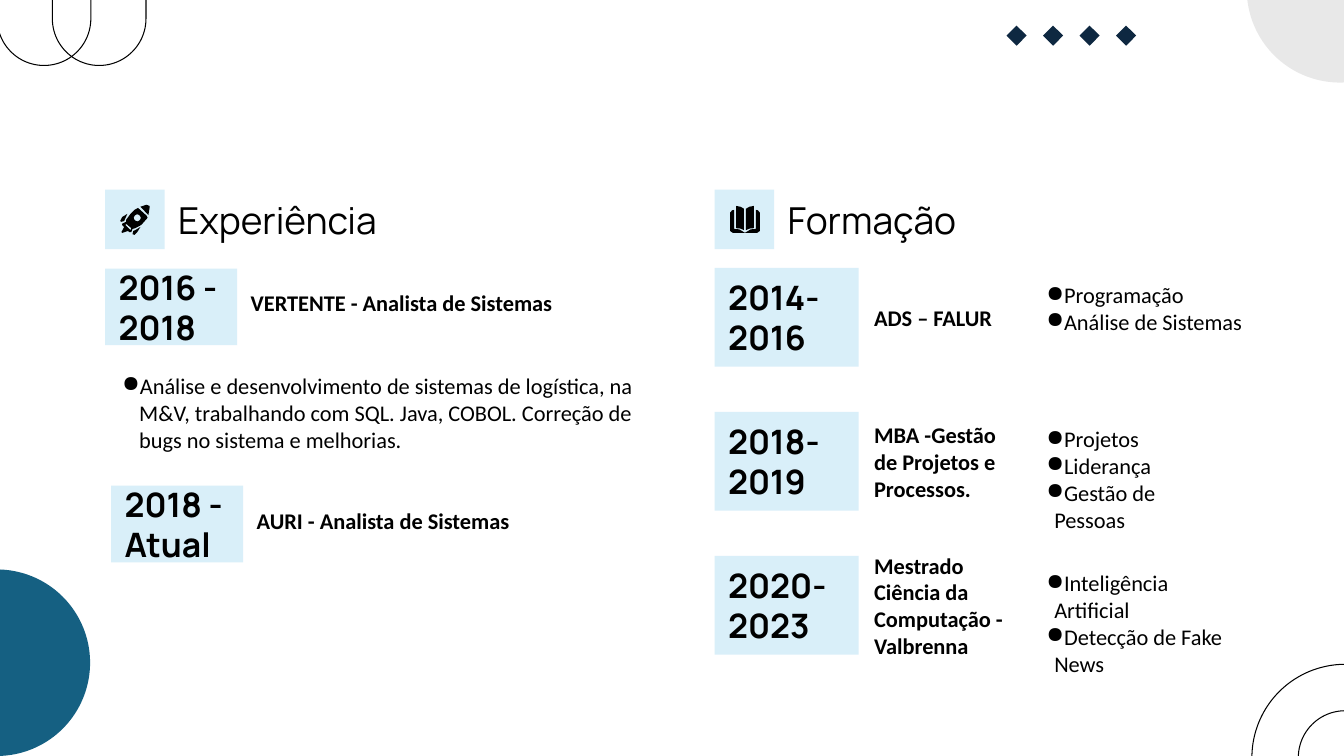
from dataclasses import dataclass
from math import cos, pi, sin

from lxml.etree import SubElement
from pptx import Presentation
from pptx.dml.color import RGBColor
from pptx.enum.shapes import MSO_SHAPE as Preset
from pptx.enum.text import MSO_ANCHOR as Anchor, PP_ALIGN as Align
from pptx.oxml.ns import qn
from pptx.util import Cm, Pt


@dataclass(frozen=True)
class Theme:
    """Colours, fonts and type sizes of the slide."""
    ink: str = "000000"
    navy: str = "0E2841"
    teal: str = "156082"
    mist: str = "E8E8E8"
    sky: str = "99D5F0"
    sky_opacity: int = 37
    display: str = "Manrope"
    body: str = "Calibri"
    heading_size: float = 26.5
    period_size: float = 24
    body_size: float = 16
    line_width: float = 0.75
    inset: float = 0.34


THEME = Theme()

WINDOW = [(81 + 9 * cos(k * pi / 8), 71 + 9 * sin(k * pi / 8)) for k in range(16)]
ROCKET = [
    [[(83, 46), (74, 51), (64, 61), (53, 76), (53, 81), (43, 86), (43, 89), (48, 94),
      (41, 107), (43, 109), (58, 104), (61, 107), (66, 107), (69, 99), (76, 97),
      (91, 89), (107, 71), (105, 66)],
     WINDOW,
     [(53, 86), (66, 97), (64, 102), (51, 89)]],
    [[(104, 38), (89, 43), (109, 64), (112, 46), (112, 41)]],
    [[(89, 94), (76, 102), (71, 104), (69, 112), (74, 114), (81, 107)]],
    [[(56, 61), (43, 69), (38, 79), (41, 81), (48, 79)]],
]
BOOK_HALF = [
    [(104, 51), (104, 99), (91, 100), (76, 109), (107, 109), (114, 104), (114, 58), (109, 52)],
    [(99, 41), (88, 43), (79, 48), (79, 102), (88, 98), (99, 97)],
]
BOOK = [[half] for half in BOOK_HALF] + [[[(153 - x, y) for x, y in half]] for half in BOOK_HALF]

JOBS = [
    (2.65, 6.77, ["2016 -", "2018"], "VERTENTE - Analista de Sistemas"),
    (2.8, 12.24, ["2018 -", "Atual"], "AURI - Analista de Sistemas"),
]
JOB_DETAIL = ("Análise e desenvolvimento de sistemas de logística, na M&V, trabalhando com "
              "SQL. Java, COBOL. Correção de bugs no sistema e melhorias.")
DEGREES = [
    ("2014- 2016", "ADS – FALUR", ["Programação", "Análise de Sistemas"], 6.27),
    ("2018- 2019", "MBA -Gestão de Projetos e Processos.",
     ["Projetos", "Liderança", "Gestão de Pessoas"], 5.46),
    ("2020- 2023", "Mestrado Ciência da Computação - Valbrenna",
     ["Inteligência Artificial", "Detecção de Fake News"], 5.46),
]


def add_form(page, preset, box, fill=None, line=None):
    """Add a preset shape with an optional fill and outline."""
    shape = page.shapes.add_shape(preset, *map(Cm, box))
    shape.shadow.inherit = False
    if fill:
        shape.fill.solid()
        shape.fill.fore_color.rgb = RGBColor.from_string(fill)
    else:
        shape.fill.background()
    if line:
        shape.line.color.rgb = RGBColor.from_string(line)
        shape.line.width = Pt(THEME.line_width)
    else:
        shape.line.fill.background()
    return shape


def add_tile(page, box):
    """Add a translucent light blue rectangle."""
    tile = add_form(page, Preset.RECTANGLE, box, THEME.sky)
    color = tile.fill._xPr.find(qn("a:solidFill"))[0]
    SubElement(color, qn("a:alpha"), val=str(THEME.sky_opacity * 1000))
    return tile


def write(shape, lines, font, size, bold=False, anchor=Anchor.MIDDLE,
          bullet=None, left_inset=THEME.inset):
    """Fill a shape with paragraphs, bulleted when a (margin, indent) pair is given."""
    frame = shape.text_frame
    frame.word_wrap = True
    frame.vertical_anchor = anchor
    frame.margin_left = Cm(left_inset)
    frame.margin_top = frame.margin_right = frame.margin_bottom = Cm(THEME.inset)
    for number, line in enumerate(lines):
        para = frame.add_paragraph() if number else frame.paragraphs[0]
        para.alignment = Align.LEFT
        span = para.add_run()
        span.text = line
        span.font.name = font
        span.font.size = Pt(size)
        span.font.bold = bold
        span.font.color.rgb = RGBColor.from_string(THEME.ink)
        if bullet:
            props = para._p.get_or_add_pPr()
            margin, indent = bullet
            props.set("marL", str(Cm(margin)))
            props.set("indent", str(Cm(indent)))
            SubElement(props, qn("a:buChar"), char="●")


def add_label(page, box, text, font=THEME.body, size=THEME.body_size, bold=True):
    """Add a vertically centred one-paragraph text box."""
    write(page.shapes.add_textbox(*map(Cm, box)), [text], font, size, bold)


def add_list(page, box, items, margin):
    """Add a bulleted text box."""
    write(page.shapes.add_textbox(*map(Cm, box)), items, THEME.body, THEME.body_size,
          anchor=Anchor.TOP, bullet=(margin, -0.48), left_inset=0.64)


def add_period(page, box, lines):
    """Add a tile that holds a span of years."""
    write(add_tile(page, box), lines, THEME.display, THEME.period_size, bold=True)


def add_icon(page, left, top, parts):
    """Draw an icon whose points are hundredths of a centimetre from its tile corner."""
    for contours in parts:
        builder = None
        for points in contours:
            if builder is None:
                builder = page.shapes.build_freeform(*points[0], scale=Cm(0.01))
            else:
                builder.move_to(*points[0])
            builder.add_line_segments(points[1:], close=True)
        part = builder.convert_to_shape(Cm(left), Cm(top))
        part.shadow.inherit = False
        part.fill.solid()
        part.fill.fore_color.rgb = RGBColor.from_string(THEME.ink)
        part.line.fill.background()


def add_heading(page, box, title, icon):
    """Add a section heading with its icon tile."""
    left, top, width, side = box
    add_tile(page, (left, top, side, side))
    add_icon(page, left, top, icon)
    add_label(page, (left + side, top, width - side, side), title,
              THEME.display, THEME.heading_size, bold=False)


def add_ornaments(page, width, height):
    """Place the corner ornaments and the row of diamonds."""
    big, small, pill = 4.7, 2.36, 2.36
    add_form(page, Preset.OVAL, (width - 2.45, -2.62, big, big), THEME.mist)
    add_form(page, Preset.OVAL, (-2.43, height - big, big, big), THEME.teal)
    for size in (big, small):
        add_form(page, Preset.OVAL, (width + 0.03 - size / 2, height + 0.04 - size / 2, size, size),
                 line=THEME.ink)
    for left in (-0.07, 1.32):
        capsule = add_form(page, Preset.ROUNDED_RECTANGLE, (left, -5.84, pill, 7.49), line=THEME.ink)
        capsule.adjustments[0] = 0.5
    for number in range(4):
        diamond = add_form(page, Preset.RECTANGLE, (25.44 + number * 0.92, 0.72, 0.36, 0.36), THEME.navy)
        diamond.rotation = 44.4


def add_experience(page, box):
    """Build the work experience column."""
    left, top, width, _ = box
    add_heading(page, (left, top, width, 1.5), "Experiência", ROCKET)
    for job_left, job_top, period, role in JOBS:
        add_period(page, (job_left, job_top, 3.33, 1.93), period)
        add_label(page, (job_left + 3.33, job_top, 10.13, 1.73), role)
    add_list(page, (left - 0.21, top + 4.26, 14.99, 2.87), [JOB_DETAIL], 0.43)


def add_education(page, box):
    """Build the education column with one row per degree."""
    left, top, width, pitch = box
    add_heading(page, (left, top, width, 1.5), "Formação", BOOK)
    for row, (period, degree, topics, topics_width) in enumerate(DEGREES):
        row_top = top + 1.97 + row * pitch
        add_period(page, (left, row_top, 3.63, 2.49), [period])
        add_label(page, (left + 3.68, row_top, 4.06, 2.49), degree)
        add_list(page, (left + 7.72, row_top, topics_width, 2.49), topics, 0.2)


def main():
    """Build and save the slide."""
    width, height = 33.87, 19.05
    deck = Presentation()
    deck.slide_width, deck.slide_height = Cm(width), Cm(height)
    page = deck.slides.add_slide(deck.slide_layouts[6])
    add_ornaments(page, width, height)
    add_experience(page, (2.65, 4.78, 15, 9.4))
    add_education(page, (18.01, 4.78, 13.18, 3.63))
    deck.save("out.pptx")


if __name__ == "__main__":
    main()
